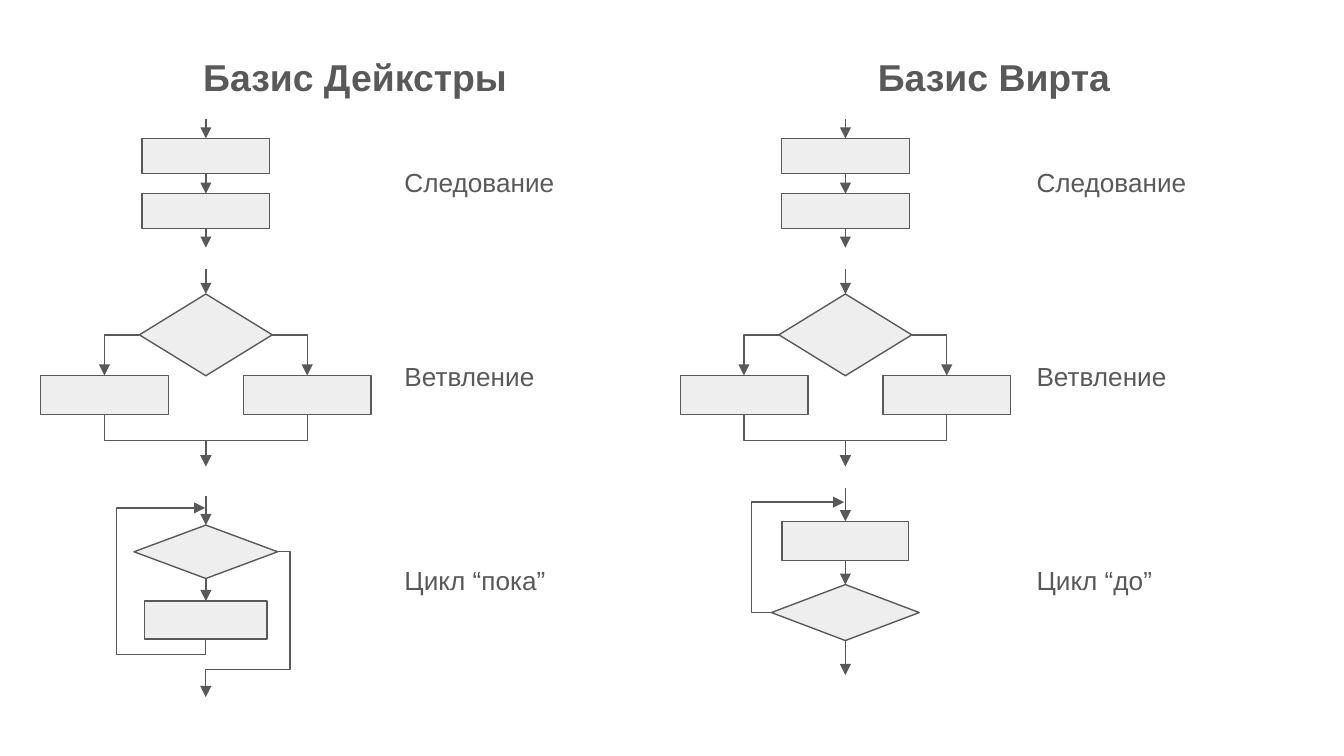
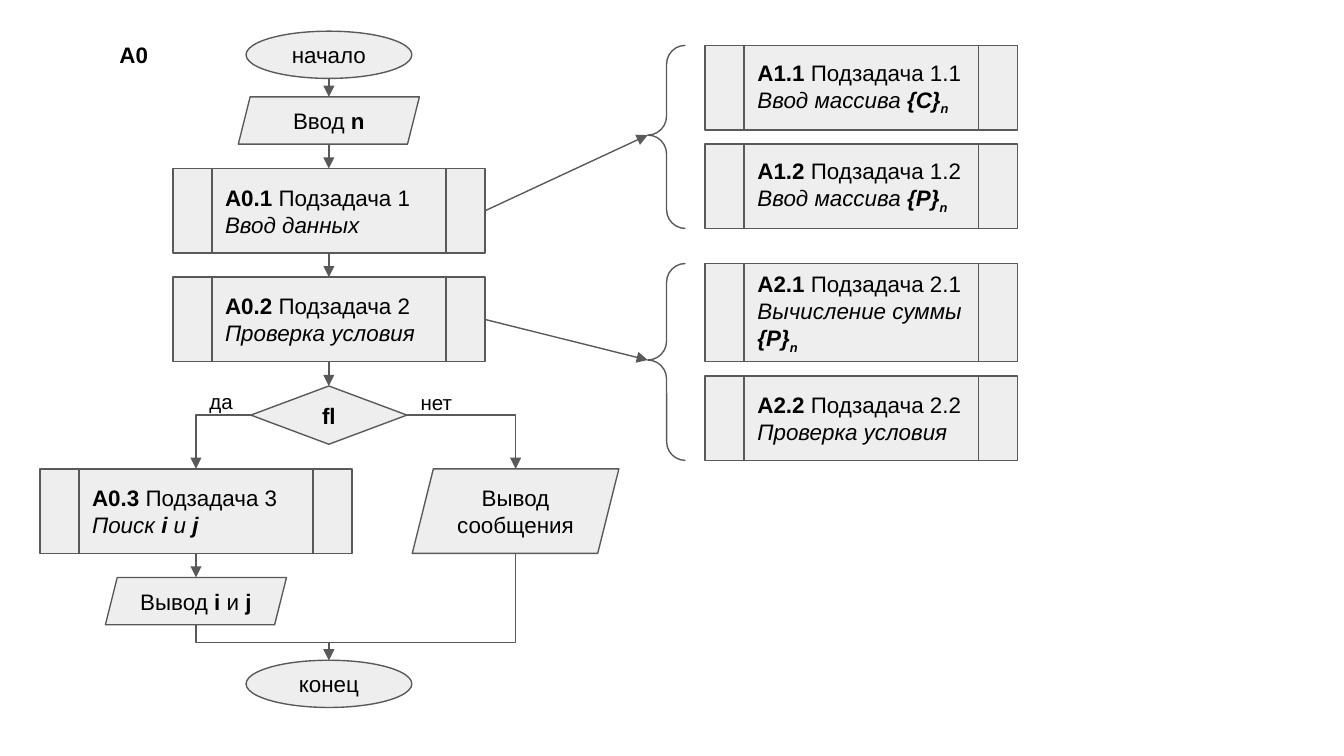
from dataclasses import dataclass

import pptx
import pptx.dml.color
import pptx.enum.shapes
import pptx.enum.text
import pptx.oxml
import pptx.oxml.ns
import pptx.slide
import pptx.text.text
import pptx.util
from lxml import etree

# Shared style
COLORS = {"fill": "EEEEEE", "line": "595959", "heading": "595959", "text": "000000"}
FONT = "Arial"
LINE_WIDTH = 0.75
INSET = 7.2

Kind = pptx.enum.shapes.MSO_SHAPE
Align = pptx.enum.text.PP_ALIGN
Point = tuple[float, float]


@dataclass(frozen=True)
class Run:
    text: str
    bold: bool = False
    italic: bool = False
    subscript: bool = False


Lines = tuple[tuple[Run, ...], ...]


@dataclass(frozen=True)
class Node:
    """A flowchart symbol, placed by its vertical axis and its top."""
    kind: Kind
    axis: float
    top: float
    width: float
    height: float
    lines: Lines = ()

    @property
    def bottom(self) -> float:
        return self.top + self.height

    @property
    def middle(self) -> float:
        return self.top + self.height / 2

    @property
    def left(self) -> float:
        return self.axis - self.width / 2

    @property
    def right(self) -> float:
        return self.axis + self.width / 2


@dataclass(frozen=True)
class Label:
    left: float
    top: float
    width: float
    height: float
    run: Run
    size: float
    color: str = "text"
    align: Align = Align.LEFT
    line_spacing: float = 1.0
    space_after: float = 0


def rgb(name: str) -> pptx.dml.color.RGBColor:
    return pptx.dml.color.RGBColor.from_string(COLORS[name])


def tag(name: str) -> str:
    return pptx.oxml.ns.qn(name)


# Text
def set_insets(frame: pptx.text.text.TextFrame) -> None:
    frame.word_wrap = True
    frame.margin_left = frame.margin_right = pptx.util.Pt(INSET)
    frame.margin_top = frame.margin_bottom = pptx.util.Pt(INSET)


def add_run(paragraph, part: Run, size: float, color: str) -> None:
    run = paragraph.add_run()
    run.text = part.text
    run.font.name = FONT
    run.font.size = pptx.util.Pt(size)
    run.font.bold = part.bold
    run.font.italic = part.italic
    run.font.color.rgb = rgb(color)
    if part.subscript:
        run.font._element.set("baseline", "-25000")


def draw_label(slide: pptx.slide.Slide, label: Label) -> None:
    box = slide.shapes.add_textbox(*map(pptx.util.Pt, (label.left, label.top, label.width, label.height)))
    set_insets(box.text_frame)
    paragraph = box.text_frame.paragraphs[0]
    paragraph.alignment = label.align
    paragraph.line_spacing = label.line_spacing
    paragraph.space_after = pptx.util.Pt(label.space_after)
    add_run(paragraph, label.run, label.size, label.color)


# Symbols
def draw_node(slide: pptx.slide.Slide, node: Node):
    shape = slide.shapes.add_shape(
        node.kind, *map(pptx.util.Pt, (node.left, node.top, node.width, node.height)))
    shape.shadow.inherit = False
    shape.fill.solid()
    shape.fill.fore_color.rgb = rgb("fill")
    shape.line.color.rgb = rgb("line")
    shape.line.width = pptx.util.Pt(LINE_WIDTH)
    frame = shape.text_frame
    set_insets(frame)
    frame.vertical_anchor = pptx.enum.text.MSO_ANCHOR.MIDDLE
    is_process = node.kind == Kind.FLOWCHART_PREDEFINED_PROCESS
    for index, parts in enumerate(node.lines):
        paragraph = frame.add_paragraph() if index else frame.paragraphs[0]
        paragraph.alignment = Align.LEFT if is_process else Align.CENTER
        for part in parts:
            add_run(paragraph, part, 12, "text")
    return shape


def draw_brace(slide: pptx.slide.Slide, first: Node, last: Node) -> Point:
    """Embrace a group of symbols and return the tip of the brace."""
    height = last.bottom - first.top
    brace = draw_node(slide, Node(Kind.LEFT_BRACE, 357.1, first.top, 20.2, height))
    brace.fill.background()
    brace.adjustments[0], brace.adjustments[1] = 0.5, 0.49
    return 347, first.top + 0.49 * height


# Arrows
def draw_arrow(slide: pptx.slide.Slide, *points: Point) -> None:
    """Draw a straight arrow, or an elbow through right-angled points."""
    start, end = points[0], points[-1]
    segments = len(points) - 1
    types = pptx.enum.shapes.MSO_CONNECTOR
    if segments == 1:
        connector = slide.shapes.add_connector(types.STRAIGHT, *map(pptx.util.Pt, start + end))
    else:
        delta = (end[0] - start[0], end[1] - start[1])
        first_axis = 0 if points[1][1] == start[1] else 1
        if first_axis == 0:
            rotation = 180 if delta[1] < 0 else 0
            flip = (delta[0] < 0) != (rotation == 180)
        else:
            rotation = 270 if delta[0] > 0 else 90
            flip = (delta[1] < 0) != (rotation == 270)
        width, height = abs(delta[first_axis]), abs(delta[1 - first_axis])
        left = (start[0] + end[0] - width) / 2
        top = (start[1] + end[1] - height) / 2
        connector = slide.shapes.add_connector(
            types.ELBOW, *map(pptx.util.Pt, (left, top, left + width, top + height)))
        properties = connector._element.spPr
        frame = properties.find(tag("a:xfrm"))
        frame.set("rot", str(rotation * 60000))
        frame.set("flipH", str(int(flip)))
        geometry = properties.find(tag("a:prstGeom"))
        geometry.set("prst", f"bentConnector{segments}")
        guides = geometry.find(tag("a:avLst"))
        for bend in range(1, segments - 1):
            axis = (first_axis + bend - 1) % 2
            share = (points[bend][axis] - start[axis]) / delta[axis]
            etree.SubElement(guides, tag("a:gd"), name=f"adj{bend}", fmla=f"val {round(share * 100000)}")
    connector.line.color.rgb = rgb("line")
    connector.line.width = pptx.util.Pt(LINE_WIDTH)
    properties = connector._element.spPr
    etree.SubElement(properties.find(tag("a:ln")), tag("a:tailEnd"), type="triangle")
    etree.SubElement(properties, tag("a:effectLst"))


def link_down(slide: pptx.slide.Slide, *nodes: Node) -> None:
    for upper, lower in zip(nodes, nodes[1:]):
        draw_arrow(slide, (upper.axis, upper.bottom), (lower.axis, lower.top))


# Slide 1: the basic control structures
def draw_sequence(slide: pptx.slide.Slide, axis: float) -> None:
    steps = [Node(Kind.RECTANGLE, axis, top, 68.4, 18.7) for top in (74.2, 103.8)]
    for step in steps:
        draw_node(slide, step)
    link_down(slide, *steps)
    draw_arrow(slide, (axis, 64), (axis, steps[0].top))
    draw_arrow(slide, (axis, steps[1].bottom), (axis, 132.7))


def draw_branching(slide: pptx.slide.Slide, axis: float) -> None:
    test = Node(Kind.DIAMOND, axis, 157.5, 71.2, 43.8)
    draw_node(slide, test)
    draw_arrow(slide, (axis, 144), (axis, test.top))
    for side, corner in ((-1, test.left), (1, test.right)):
        step = Node(Kind.RECTANGLE, axis + side * 54.3, 201.2, 68.4, 21)
        draw_node(slide, step)
        draw_arrow(slide, (corner, test.middle), (step.axis, test.middle), (step.axis, step.top))
        draw_arrow(slide, (step.axis, step.bottom), (step.axis, 236.1), (axis, 236.1), (axis, 249.8))


def draw_while_loop(slide: pptx.slide.Slide, axis: float) -> None:
    test = Node(Kind.DIAMOND, axis, 281.3, 77, 28.6)
    body = Node(Kind.RECTANGLE, axis, 322, 65.6, 20.4)
    for node in (body, test):
        draw_node(slide, node)
    link_down(slide, test, body)
    draw_arrow(slide, (axis, 265.7), (axis, test.top))
    back, leave = axis - 46.5, axis + 45.1
    draw_arrow(slide, (axis, body.bottom), (axis, 350.7), (back, 350.7), (back, 272.1), (axis - 0.33, 272.1))
    draw_arrow(slide, (test.right, test.middle), (leave, test.middle), (leave, 358.7),
               (axis, 358.7), (axis, 373.5))


def draw_until_loop(slide: pptx.slide.Slide, axis: float) -> None:
    body = Node(Kind.RECTANGLE, axis, 279.3, 67.7, 21.2)
    test = Node(Kind.DIAMOND, axis, 313.2, 79.2, 30)
    for node in (body, test):
        draw_node(slide, node)
    link_down(slide, body, test)
    draw_arrow(slide, (axis, 261.4), (axis, body.top))
    draw_arrow(slide, (axis, test.bottom), (axis, 361.7))
    back = axis - 50.2
    draw_arrow(slide, (test.left, test.middle), (back, test.middle), (back, 269), (axis - 0.6, 269))


def build_structures(slide: pptx.slide.Slide) -> None:
    columns = (
        ("Базис Дейкстры", 22.3, 110.3, 209.6, "Цикл “пока”", draw_while_loop),
        ("Базис Вирта", 364.5, 452.9, 548.2, "Цикл “до”", draw_until_loop),
    )
    for title, title_left, axis, label_left, loop_name, draw_loop in columns:
        draw_label(slide, Label(title_left, 18, 336, 44, Run(title, bold=True), 20,
                                "heading", Align.CENTER, 1.15, 12))
        for draw in (draw_sequence, draw_branching, draw_loop):
            draw(slide, axis)
        for name, top in (("Следование", 83.4), ("Ветвление", 187.2), (loop_name, 296.6)):
            draw_label(slide, Label(label_left, top, 148, 30, Run(name), 14,
                                    "heading", Align.LEFT, 0.95, 12))


# Slide 2: the task split into subtasks
def subtask(axis: float, top: float, code: str, name: str, *details: Run, height: float = 45.3) -> Node:
    lines = ((Run(code, bold=True), Run(f" Подзадача {name}")), details)
    return Node(Kind.FLOWCHART_PREDEFINED_PROCESS, axis, top, 167.2, height, lines)


def array_details(action: str, array: str) -> tuple[Run, ...]:
    return (Run(action, italic=True), Run(array, True, True), Run("n", True, True, True))


def build_subtasks(slide: pptx.slide.Slide) -> None:
    main, yes, no, detail = 176.2, 105, 276.2, 461.4
    check = Run("Проверка условия", italic=True)
    indices = (Run("i", bold=True), Run(" и "), Run("j", bold=True))
    search = (Run("Поиск ", italic=True), *(Run(part.text, part.bold, True) for part in indices))

    # Main flow
    begin = Node(Kind.OVAL, main, 16.7, 88.8, 25.3, ((Run("начало"),),))
    finish = Node(Kind.OVAL, main, 353.7, 88.8, 25.3, ((Run("конец"),),))
    enter = Node(Kind.PARALLELOGRAM, main, 51.9, 97, 25.3, ((Run("Ввод "), Run("n", bold=True)),))
    first = subtask(main, 90.3, "A0.1", "1", Run("Ввод данных", italic=True))
    second = subtask(main, 148.5, "A0.2", "2", check)
    flag = Node(Kind.DIAMOND, main, 206.8, 83.6, 31.2, ((Run("fl", bold=True),),))
    third = subtask(yes, 251.2, "A0.3", "3", *search)
    result = Node(Kind.PARALLELOGRAM, yes, 309.4, 97, 25.3, ((Run("Вывод "), *indices),))
    message = Node(Kind.PARALLELOGRAM, no, 251.2, 110.7, 45.3, ((Run("Вывод"),), (Run("сообщения"),)))
    for node in (begin, enter, first, second, flag, third, result, message, finish):
        draw_node(slide, node)
    link_down(slide, begin, enter, first, second, flag)
    link_down(slide, third, result)
    for corner, target in ((flag.left, third), (flag.right, message)):
        draw_arrow(slide, (corner, flag.middle), (target.axis, flag.middle), (target.axis, target.top))
    for source in (result, message):
        draw_arrow(slide, (source.axis, source.bottom), (source.axis, 344.2), (main, 344.2), (main, finish.top))
    draw_label(slide, Label(218.2, 202.3, 36.7, 28, Run("нет"), 11))
    draw_label(slide, Label(105.1, 202, 36.7, 28, Run("да"), 11))
    draw_label(slide, Label(56.9, 15, 36.7, 29, Run("A0", bold=True), 12))

    # Details of the first two subtasks
    groups = (
        (first, subtask(detail, 24.3, "A1.1", "1.1", *array_details("Ввод массива ", "{C}")),
         subtask(detail, 77.1, "A1.2", "1.2", *array_details("Ввод массива ", "{P}"))),
        (second, subtask(detail, 141.2, "A2.1", "2.1",
                         *array_details("Вычисление суммы ", "{P}"), height=52.6),
         subtask(detail, 201.4, "A2.2", "2.2", check)),
    )
    for parent, upper, lower in groups:
        draw_node(slide, upper)
        draw_node(slide, lower)
        tip = draw_brace(slide, upper, lower)
        draw_arrow(slide, (parent.right, parent.middle), tip)


def main() -> None:
    presentation = pptx.Presentation()
    presentation.slide_width = pptx.util.Pt(720)
    presentation.slide_height = pptx.util.Pt(405)
    for build in (build_structures, build_subtasks):
        build(presentation.slides.add_slide(presentation.slide_layouts[6]))
    presentation.save("out.pptx")


if __name__ == "__main__":
    main()
